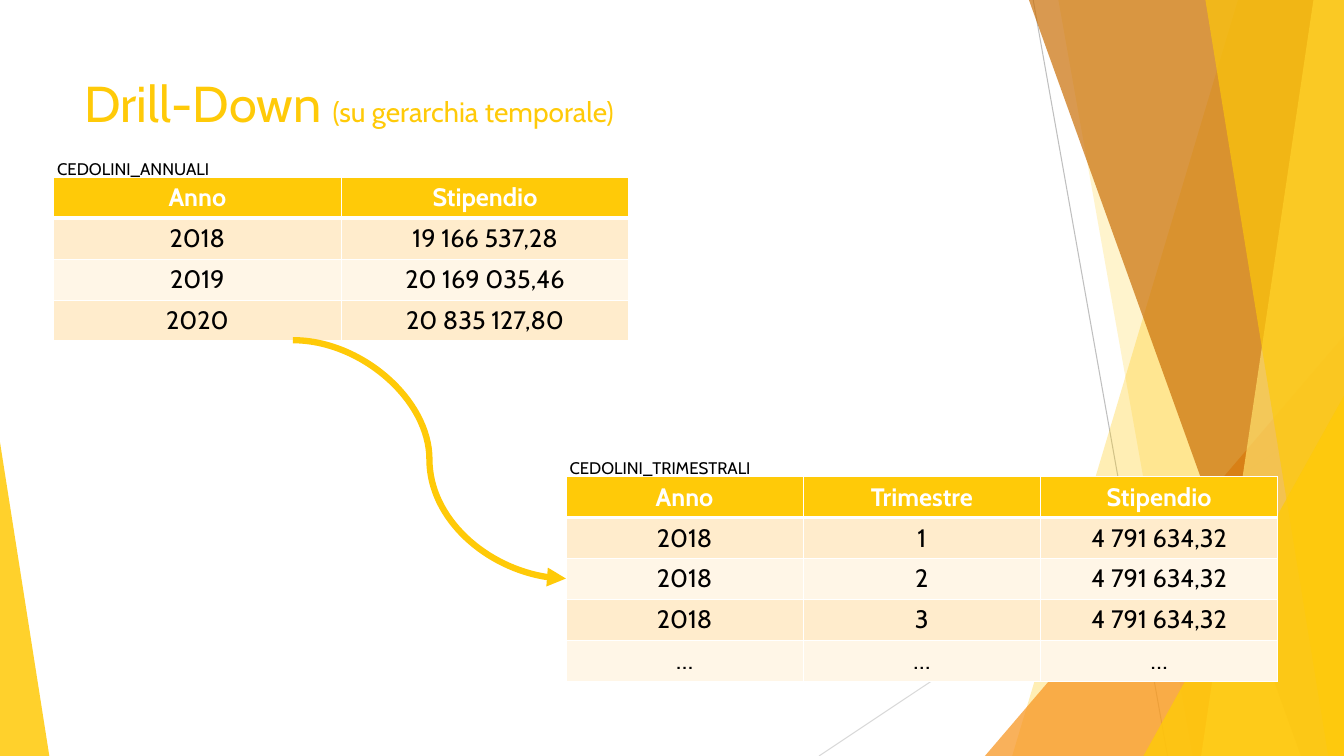
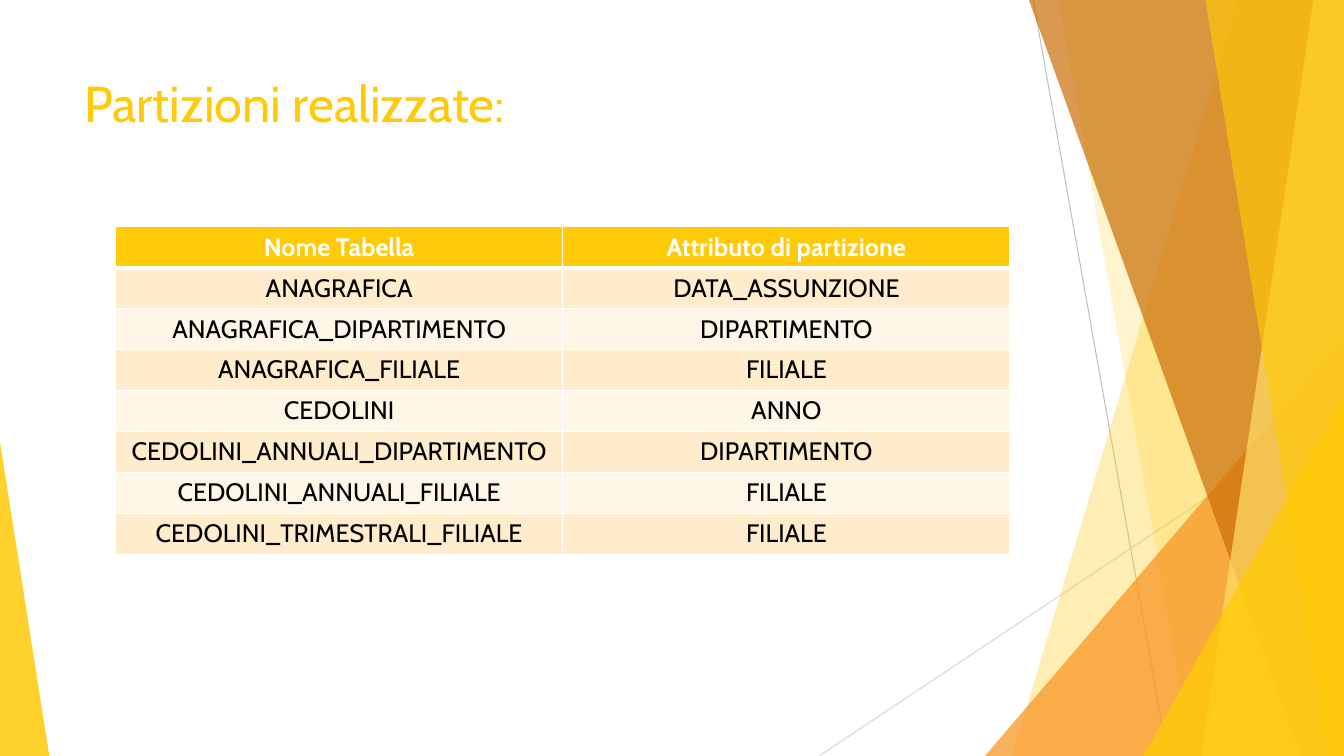
from lxml import etree
from pptx import Presentation
from pptx import util as u
from pptx.dml.color import RGBColor
from pptx.enum import shapes as es, text as et
from pptx.oxml.ns import qn

PX = 9525
WIDE, HIGH = 1280, 720
FONT = "Cabin"
ROW = 39
HUES = {
    "gold": "FFCA08",
    "pale": "FFDF6B",
    "orange": "F8931D",
    "brown": "CA6F06",
    "gray": "BFBFBF",
    "light": "D9D9D9",
    "odd": "FFECCC",
    "even": "FFF6E7",
    "white": "FFFFFF",
    "black": "000000",
}
RAYS = [
    ((984, 0), (1112, HIGH), "gray"),
    ((WIDE, 387), (780, HIGH), "light"),
]
BANDS = [
    ("edge", (1179, 964), "gold", 30),
    ("edge", (1008, 1136), "gold", 20),
    ("right", (938, 320, 342, 400), "orange", 72),
    ("edge", (980, 1239), "brown", 70),
    ("edge", (1251, 1144), "pale", 70),
    ("edge", (1148, 1265), "gold", 65),
    ("right", (1089, 377, 191, 343), "gold", 80),
    ("left", (0, 421, 47, 299), "gold", 85),
]


def emu(*vals):
    return [u.Emu(v * PX) for v in vals]


def hue(name):
    return RGBColor.from_string(HUES[name])


def style(run, size, tone, bold=False):
    run.font.name = FONT
    run.font.size = u.Pt(size)
    run.font.bold = bold
    run.font.color.rgb = hue(tone)


def link(slide, kind, start, end, tone, width):
    line = slide.shapes.add_connector(kind, *emu(*start, *end))
    line.line.color.rgb = hue(tone)
    line.line.width = u.Pt(width)
    etree.SubElement(line._element.spPr, qn("a:effectLst"))
    return line


def band(slide, kind, geom, tone, alpha):
    if kind == "edge":
        top, base = geom
        form = slide.shapes.build_freeform(top, 0, scale=PX)
        form.add_line_segments([(WIDE, 0), (WIDE, HIGH), (base, HIGH)])
        shape = form.convert_to_shape()
    else:
        shape = slide.shapes.add_shape(es.MSO_SHAPE.ISOSCELES_TRIANGLE, *emu(*geom))
        shape.adjustments[0] = 1 if kind == "right" else 0
    shape.shadow.inherit = False
    shape.fill.solid()
    shape.fill.fore_color.rgb = hue(tone)
    shape.line.fill.background()
    clr = shape._element.spPr.find(".//" + qn("a:srgbClr"))
    etree.SubElement(clr, qn("a:alpha"), val=str(alpha * 1000))


def decor(slide):
    for start, end, tone in RAYS:
        link(slide, es.MSO_CONNECTOR.STRAIGHT, start, end, tone, 0.75)
    for item in BANDS:
        band(slide, *item)


def label(slide, box, *parts):
    frame = slide.shapes.add_textbox(*emu(*box)).text_frame
    frame.word_wrap = True
    para = frame.paragraphs[0]
    for words, size, tone in parts:
        run = para.add_run()
        run.text = words
        style(run, size, tone)


def title(slide, main, note=""):
    parts = [(main, 36, "gold")]
    if note:
        parts.append((note, 20, "gold"))
    label(slide, (71, 64, 902, 138), *parts)


def edges(cell, top, base):
    props = cell._tc.get_or_add_tcPr()
    for side, width in (("L", 1), ("R", 1), ("T", top), ("B", base)):
        line = etree.SubElement(props, qn("a:ln" + side), w=str(u.Pt(width)))
        fill = etree.SubElement(line, qn("a:solidFill"))
        etree.SubElement(fill, qn("a:srgbClr"), val=HUES["white"])


def grid(slide, left, top, col, rows):
    count = len(rows[0])
    box = emu(left, top, col * count, ROW * len(rows))
    table = slide.shapes.add_table(len(rows), count, *box).table
    for column in table.columns:
        column.width = u.Emu(col * PX)
    for i, row in enumerate(rows):
        table.rows[i].height = u.Emu(ROW * PX)
        head = i == 0
        tone = "gold" if head else "odd" if i % 2 else "even"
        for j, words in enumerate(row):
            cell = table.cell(i, j)
            edges(cell, 3 if i == 1 else 1, 3 if head else 1)
            cell.fill.solid()
            cell.fill.fore_color.rgb = hue(tone)
            para = cell.text_frame.paragraphs[0]
            para.text = words
            para.alignment = et.PP_ALIGN.CENTER
            style(para.runs[0], 18, "white" if head else "black", head)


def named(slide, name, left, top, col, rows):
    grid(slide, left, top, col, rows)
    label(slide, (left - 6, top - 23, 261, 29), (name, 12, "black"))


def arrow(slide, start, end):
    line = link(slide, es.MSO_CONNECTOR.CURVE, start, end, "gold", 4.5)
    etree.SubElement(line.line._get_or_add_ln(), qn("a:tailEnd"), type="triangle")


def drill(slide):
    title(slide, "Drill-Down ", "(su gerarchia temporale)")
    named(slide, "CEDOLINI_ANNUALI", 51, 169, 274, [
        ("Anno", "Stipendio"),
        ("2018", "19 166 537,28"),
        ("2019", "20 169 035,46"),
        ("2020", "20 835 127,80"),
    ])
    pay = "4 791 634,32"
    named(slide, "CEDOLINI_TRIMESTRALI", 539, 454, 226, [
        ("Anno", "Trimestre", "Stipendio"),
        *[("2018", term, pay) for term in "123"],
        ("…",) * 3,
    ])
    arrow(slide, (279, 324), (539, 551))


def parts(slide):
    title(slide, "Partizioni realizzate:")
    grid(slide, 110, 216, 426, [
        ("Nome Tabella", "Attributo di partizione"),
        ("ANAGRAFICA", "DATA_ASSUNZIONE"),
        ("ANAGRAFICA_DIPARTIMENTO", "DIPARTIMENTO"),
        ("ANAGRAFICA_FILIALE", "FILIALE"),
        ("CEDOLINI", "ANNO"),
        ("CEDOLINI_ANNUALI_DIPARTIMENTO", "DIPARTIMENTO"),
        ("CEDOLINI_ANNUALI_FILIALE", "FILIALE"),
        ("CEDOLINI_TRIMESTRALI_FILIALE", "FILIALE"),
    ])


def main():
    deck = Presentation()
    deck.slide_width, deck.slide_height = emu(WIDE, HIGH)
    for build in (drill, parts):
        slide = deck.slides.add_slide(deck.slide_layouts[6])
        decor(slide)
        build(slide)
    deck.save("out.pptx")


if __name__ == "__main__":
    main()
